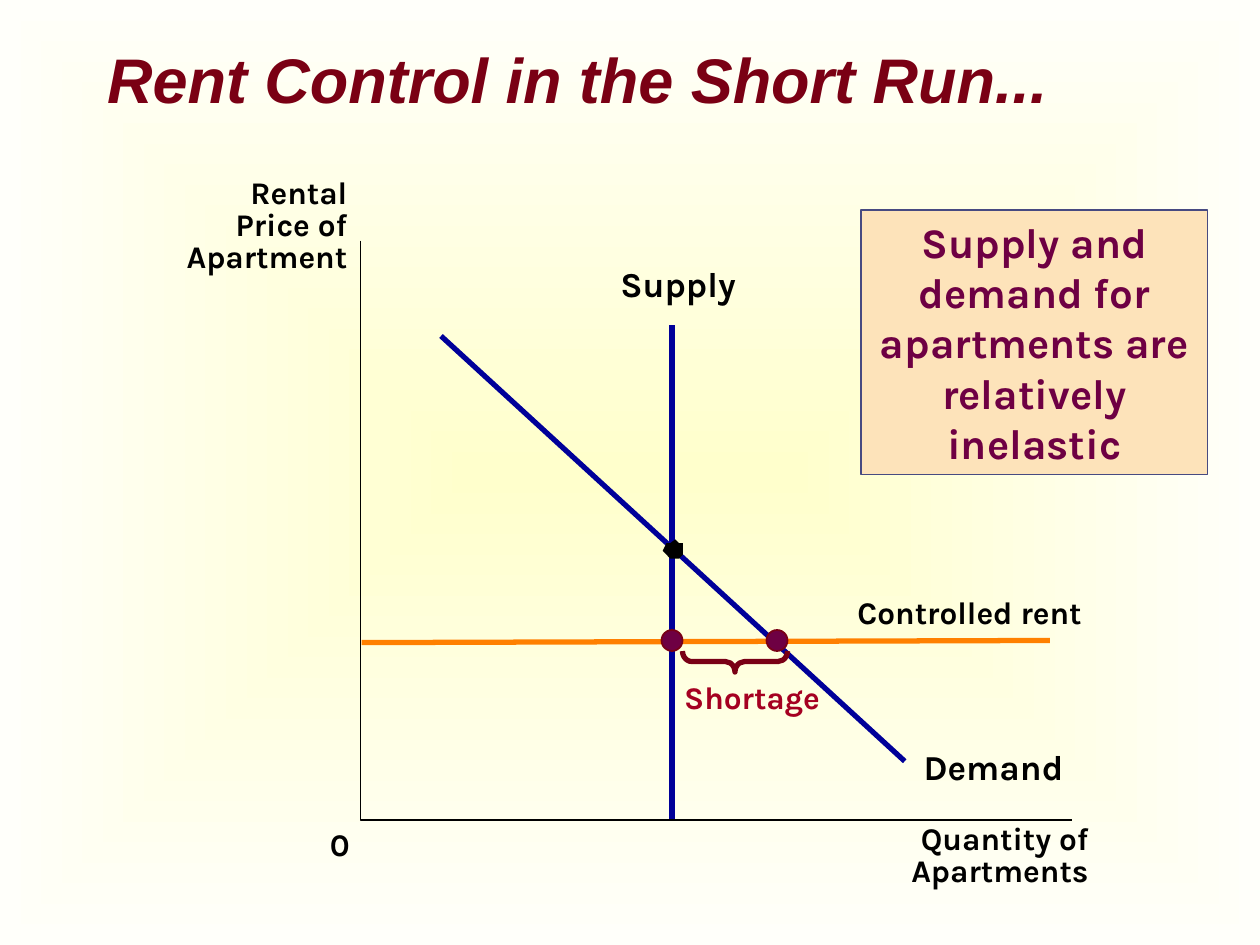
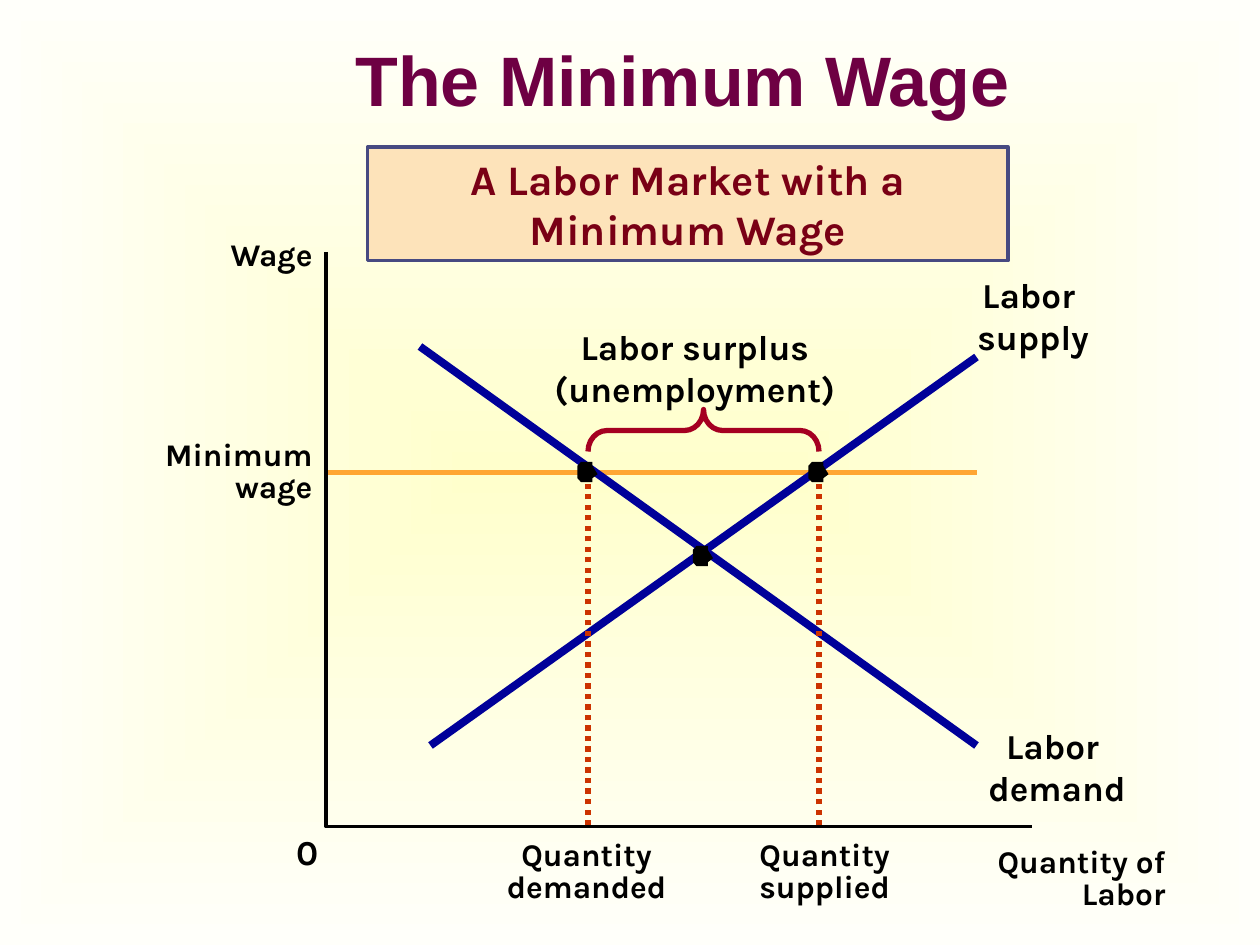
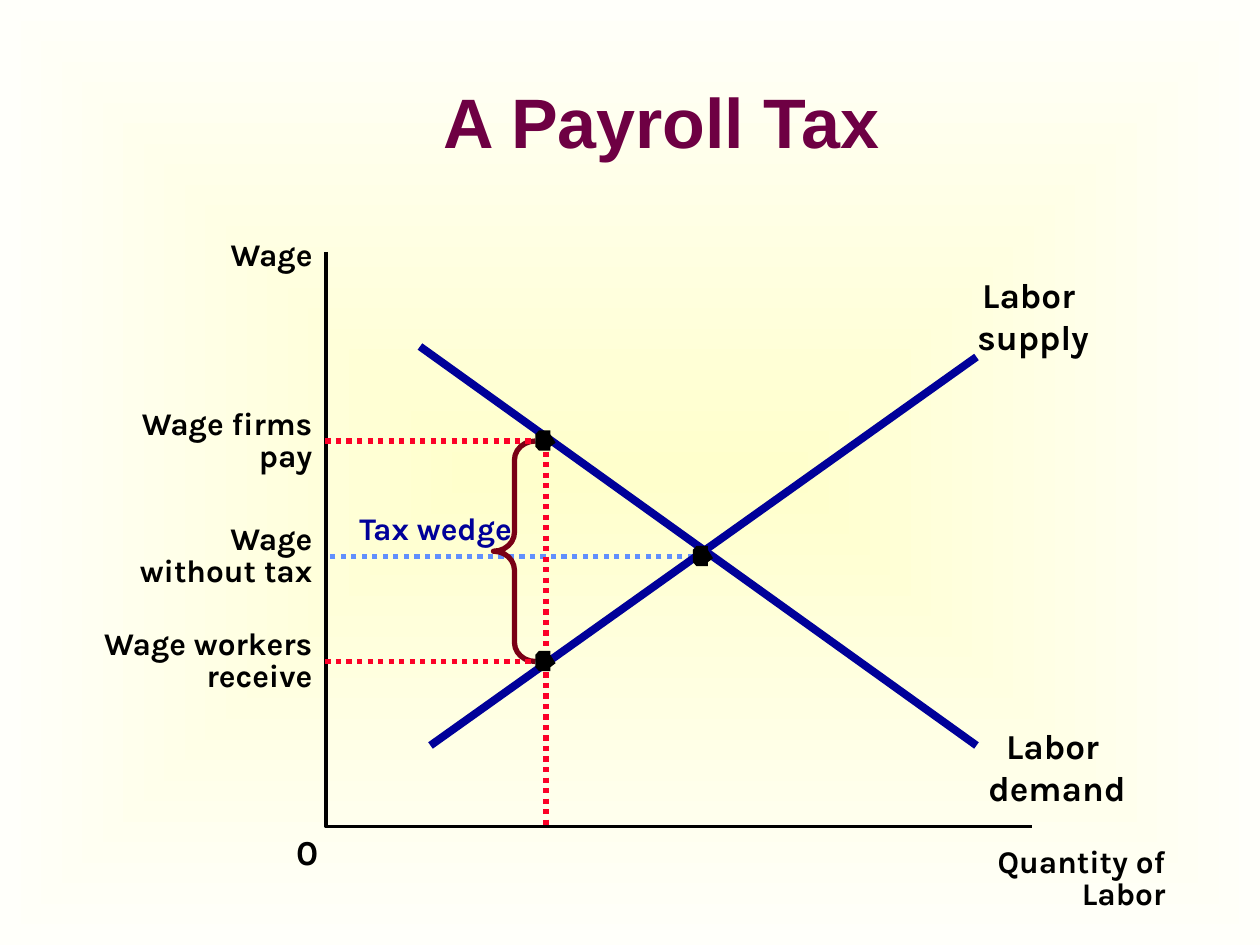
from dataclasses import dataclass

import pptx
import pptx.dml.color
import pptx.enum.dml
import pptx.enum.shapes
import pptx.enum.text
import pptx.oxml
import pptx.oxml.ns
import pptx.shapes.autoshape
import pptx.shapes.base
import pptx.slide
import pptx.text.text
import pptx.util

Pt = pptx.util.Pt
Align = pptx.enum.text.PP_ALIGN
Shape = pptx.enum.shapes.MSO_SHAPE
qn = pptx.oxml.ns.qn

COLORS = {
    "glow": "FFFFCC",
    "paper": "FFFFFA",
    "black": "000000",
    "curve": "000099",
    "plum": "6E0043",
    "title_red": "7A0014",
    "maroon": "790015",
    "crimson": "A50021",
    "rent": "FF8000",
    "wage": "FFA633",
    "quantity": "CC3300",
    "tax": "FC0128",
    "untaxed": "618FFD",
    "panel": "FDE3BA",
    "panel_edge": "474A81",
}
TITLE_FONT = "Arial"
LABEL_FONT = "Karla"
TIGHT = 0.85
BRACE_CURVE = 0.45
SQUARE_DOT = [(4, 11.5), (8.5, 11.5), (8.5, 9.3), (11.5, 7), (8.5, 2.2), (8.5, 0),
              (4, 0), (2, 0), (0, 2.2), (0, 7), (0, 9.3), (2, 11.5)]
POINTED_DOT = [(7.2, 11), (9.4, 11), (11.5, 8.8), (11.5, 2.2), (9.4, 2.2), (7.2, 0),
               (4.3, 2.2), (2.2, 2.2), (0, 6.5), (2.2, 8.8), (4.3, 11)]


@dataclass
class Label:
    text: str
    left: float
    top: float
    width: float
    height: float
    align: Align = Align.CENTER
    size: float = 18
    spacing: float = TIGHT
    color: str = "black"
    wrap: bool = False


@dataclass
class Segment:
    start: tuple[float, float]
    end: tuple[float, float]
    color: str
    width: float = 3
    dotted: bool = False


@dataclass
class Brace:
    left: float
    top: float
    width: float
    height: float
    rotation: float
    color: str


@dataclass
class Panel:
    text: str
    left: float
    top: float
    width: float
    height: float
    edge: float
    color: str


def rgb(name: str) -> pptx.dml.color.RGBColor:
    return pptx.dml.color.RGBColor.from_string(COLORS[name])


def write_text(frame: pptx.text.text.TextFrame, text: str, *, size: float,
               font: str = LABEL_FONT, color: str = "black", italic: bool = False,
               align: Align = Align.CENTER, spacing: float = 1, before: float = 0) -> None:
    for index, line in enumerate(text.split("\n")):
        paragraph = frame.add_paragraph() if index else frame.paragraphs[0]
        paragraph.alignment = align
        paragraph.line_spacing = spacing
        paragraph.space_before = Pt(before)
        run = paragraph.add_run()
        run.text = line
        run.font.name = font
        run.font.size = Pt(size)
        run.font.bold = True
        run.font.italic = italic
        run.font.color.rgb = rgb(color)


def paint(shape: pptx.shapes.autoshape.Shape, fill: str | None = None,
          line: str | None = None, width: float = 1) -> None:
    shape.shadow.inherit = False
    if fill:
        shape.fill.solid()
        shape.fill.fore_color.rgb = rgb(fill)
    else:
        shape.fill.background()
    if line:
        shape.line.color.rgb = rgb(line)
        shape.line.width = Pt(width)
    else:
        shape.line.fill.background()


def draw_label(slide: pptx.slide.Slide, label: Label) -> None:
    box = slide.shapes.add_textbox(
        Pt(label.left), Pt(label.top), Pt(label.width), Pt(label.height))
    frame = box.text_frame
    frame.margin_left = frame.margin_right = frame.margin_top = frame.margin_bottom = 0
    frame.word_wrap = label.wrap
    frame.auto_size = pptx.enum.text.MSO_AUTO_SIZE.SHAPE_TO_FIT_TEXT
    write_text(frame, label.text, size=label.size, color=label.color,
               align=label.align, spacing=label.spacing)


def draw_segment(slide: pptx.slide.Slide, segment: Segment) -> None:
    connector = slide.shapes.add_connector(
        pptx.enum.shapes.MSO_CONNECTOR.STRAIGHT,
        *(Pt(value) for value in segment.start + segment.end))
    connector.line.color.rgb = rgb(segment.color)
    connector.line.width = Pt(segment.width)
    if segment.dotted:
        connector.line.dash_style = pptx.enum.dml.MSO_LINE.ROUND_DOT
    properties = connector.element.find(qn("p:spPr"))
    properties.append(pptx.oxml.parse_xml(
        f"<a:effectLst {pptx.oxml.ns.nsdecls('a')}/>"))


def draw_outline(slide: pptx.slide.Slide, points: list[tuple[float, float]],
                 close: bool) -> pptx.shapes.autoshape.Shape:
    corners = [(Pt(x), Pt(y)) for x, y in points]
    builder = slide.shapes.build_freeform(*corners[0])
    builder.add_line_segments(corners[1:], close=close)
    return builder.convert_to_shape()


def draw_axes(slide: pptx.slide.Slide, left: float, top: float, right: float,
              bottom: float, width: float) -> None:
    axes = draw_outline(slide, [(left, top), (left, bottom), (right, bottom)], False)
    paint(axes, line="black", width=width)


def draw_dot(slide: pptx.slide.Slide, left: float, top: float,
             outline: list[tuple[float, float]] = SQUARE_DOT) -> None:
    dot = draw_outline(slide, [(left + x, top + y) for x, y in outline], True)
    paint(dot, fill="black")


def draw_brace(slide: pptx.slide.Slide, brace: Brace) -> None:
    shape = slide.shapes.add_shape(
        Shape.LEFT_BRACE, Pt(brace.left), Pt(brace.top), Pt(brace.width), Pt(brace.height))
    shape.adjustments[0] = BRACE_CURVE
    shape.rotation = brace.rotation
    paint(shape, line=brace.color, width=3)


def draw_panel(slide: pptx.slide.Slide, panel: Panel) -> None:
    shape = slide.shapes.add_shape(
        Shape.RECTANGLE, Pt(panel.left), Pt(panel.top), Pt(panel.width), Pt(panel.height))
    paint(shape, fill="panel", line="panel_edge", width=panel.edge)
    frame = shape.text_frame
    frame.word_wrap = True
    frame.auto_size = pptx.enum.text.MSO_AUTO_SIZE.SHAPE_TO_FIT_TEXT
    frame.vertical_anchor = pptx.enum.text.MSO_ANCHOR.TOP
    write_text(frame, panel.text, size=24, color=panel.color, before=15)


def set_background(presentation: pptx.presentation.Presentation) -> None:
    master = presentation.slide_master
    fill = master.background.fill
    fill.gradient()
    for stop, name in zip(fill.gradient_stops, ("glow", "paper")):
        stop.color.rgb = rgb(name)
    gradient = master.element.find(f".//{qn('p:bgPr')}/{qn('a:gradFill')}")
    gradient.replace(gradient.find(qn("a:lin")), pptx.oxml.parse_xml(
        f'<a:path {pptx.oxml.ns.nsdecls("a")} path="rect">'
        '<a:fillToRect l="50000" t="50000" r="50000" b="50000"/></a:path>'))


def add_slide(presentation: pptx.presentation.Presentation, title: str, left: float,
              top: float = 0, *, size: float = 40, color: str = "plum",
              italic: bool = False, align: Align = Align.CENTER) -> pptx.slide.Slide:
    slide = presentation.slides.add_slide(presentation.slide_layouts[5])
    heading = slide.shapes.title
    heading.left, heading.top = Pt(left), Pt(top)
    heading.width, heading.height = Pt(612), Pt(90)
    frame = heading.text_frame
    frame.auto_size = pptx.enum.text.MSO_AUTO_SIZE.NONE
    frame.vertical_anchor = pptx.enum.text.MSO_ANCHOR.MIDDLE
    write_text(frame, title, size=size, font=TITLE_FONT, color=color,
               italic=italic, align=align)
    return slide


def draw_labor_market(slide: pptx.slide.Slide) -> None:
    draw_segment(slide, Segment((240, 198), (558, 426), "curve", 4.5))
    draw_segment(slide, Segment((246, 426), (558, 204), "curve", 4.5))
    draw_dot(slide, 396, 312)
    draw_axes(slide, 186.5, 144, 589.7, 472.3, 2.25)
    for label in (
        Label("Quantity of\nLabor", 563, 484.5, 103, 36.7, Align.RIGHT),
        Label("0", 169.2, 474.5, 11.5, 23.8, Align.LEFT, 20, 1),
        Label("Wage", 128.2, 137.5, 50.4, 18.7, Align.RIGHT),
        Label("Labor \ndemand", 563, 414, 82, 48.2, size=20, spacing=1),
        Label("Labor\n supply", 552.2, 156.2, 71.3, 48.2, size=20, spacing=1),
    ):
        draw_label(slide, label)


def build_rent_control(presentation: pptx.presentation.Presentation) -> None:
    slide = add_slide(presentation, "Rent Control in the Short Run...", 54, size=36,
                      color="title_red", italic=True, align=Align.LEFT)
    draw_segment(slide, Segment((252, 192), (517, 435), "curve"))
    draw_segment(slide, Segment((384, 468), (384, 186), "curve"))
    draw_axes(slide, 206, 137.5, 612.7, 468.7, 1)
    draw_dot(slide, 378.7, 308.2, POINTED_DOT)
    draw_segment(slide, Segment((600, 366), (206.6, 367.2), "rent"))
    draw_brace(slide, Brace(414, 348, 12, 60, 270, "maroon"))
    for left in (438, 378):
        point = slide.shapes.add_shape(Shape.OVAL, Pt(left), Pt(360), Pt(12), Pt(12))
        paint(point, fill="plum", line="maroon")
    for label in (
        Label("Quantity of\nApartments", 514.8, 471.5, 107.3, 36.7, Align.RIGHT),
        Label("0", 188.6, 471.5, 10.1, 21.6, Align.LEFT, spacing=1),
        Label("Rental Price of\nApartment", 102, 102, 96.5, 92, Align.RIGHT, wrap=True),
        Label("Demand", 527.8, 426, 84.2, 23.8, Align.LEFT, 20, 1),
        Label("Supply", 354.5, 150, 67, 23.8, Align.LEFT, 20, 1),
        Label("Controlled rent", 485.3, 342, 137.5, 18.7),
        Label("Shortage", 391, 387.6, 81.4, 21.6, Align.LEFT, spacing=1, color="crimson"),
    ):
        draw_label(slide, label)
    draw_panel(slide, Panel("Supply and demand for apartments are relatively inelastic",
                            492, 120, 198, 151.2, 1, "plum"))


def build_minimum_wage(presentation: pptx.presentation.Presentation) -> None:
    slide = add_slide(presentation, "The Minimum Wage", 84)
    draw_segment(slide, Segment((558, 270), (186, 270), "wage"))
    draw_labor_market(slide)
    for x, dot_left, text, text_left, text_width in (
        (468, 462, "Quantity\nsupplied", 431.3, 80),
        (336, 330, "Quantity\ndemanded", 287.3, 95.8),
    ):
        draw_segment(slide, Segment((x, 471.6), (x, 270), "quantity", dotted=True))
        draw_dot(slide, dot_left, 264)
        draw_label(slide, Label(text, text_left, 480.2, text_width, 36.7))
    draw_brace(slide, Brace(390, 180, 24, 132, 90, "crimson"))
    draw_label(slide, Label("Minimum\nwage", 66, 252, 112.5, 36.7, Align.RIGHT, wrap=True))
    draw_label(slide, Label("Labor surplus\n(unemployment)", 313.2, 185.8, 167.8, 48.2,
                            size=20, spacing=1))
    draw_panel(slide, Panel("A Labor Market with a Minimum Wage",
                            210, 84, 366, 65, 2, "maroon"))


def build_payroll_tax(presentation: pptx.presentation.Presentation) -> None:
    slide = add_slide(presentation, "A Payroll Tax", 72, 24)
    draw_segment(slide, Segment((402, 318), (186, 318), "untaxed", dotted=True))
    draw_labor_market(slide)
    draw_brace(slide, Brace(282, 252, 24, 126, 0, "maroon"))
    draw_segment(slide, Segment((312, 252), (312, 474), "tax", dotted=True))
    for wage_level in (252, 378):
        draw_segment(slide, Segment((186, wage_level), (312, wage_level), "tax", dotted=True))
        draw_dot(slide, 306, wage_level - 6)
    for text, left, top in (
        ("Wage firms pay", 66, 234),
        ("Wage without tax", 66, 300),
        ("Wage workers receive", 42, 360),
    ):
        draw_label(slide, Label(text, left, top, 178.5 - left, 36.7, Align.RIGHT, wrap=True))
    draw_label(slide, Label("Tax wedge", 180, 294, 112.5, 18.7, Align.RIGHT,
                            color="curve", wrap=True))


def main() -> None:
    presentation = pptx.Presentation()
    presentation.slide_width, presentation.slide_height = Pt(720), Pt(540)
    set_background(presentation)
    build_rent_control(presentation)
    build_minimum_wage(presentation)
    build_payroll_tax(presentation)
    presentation.save("out.pptx")


if __name__ == "__main__":
    main()
